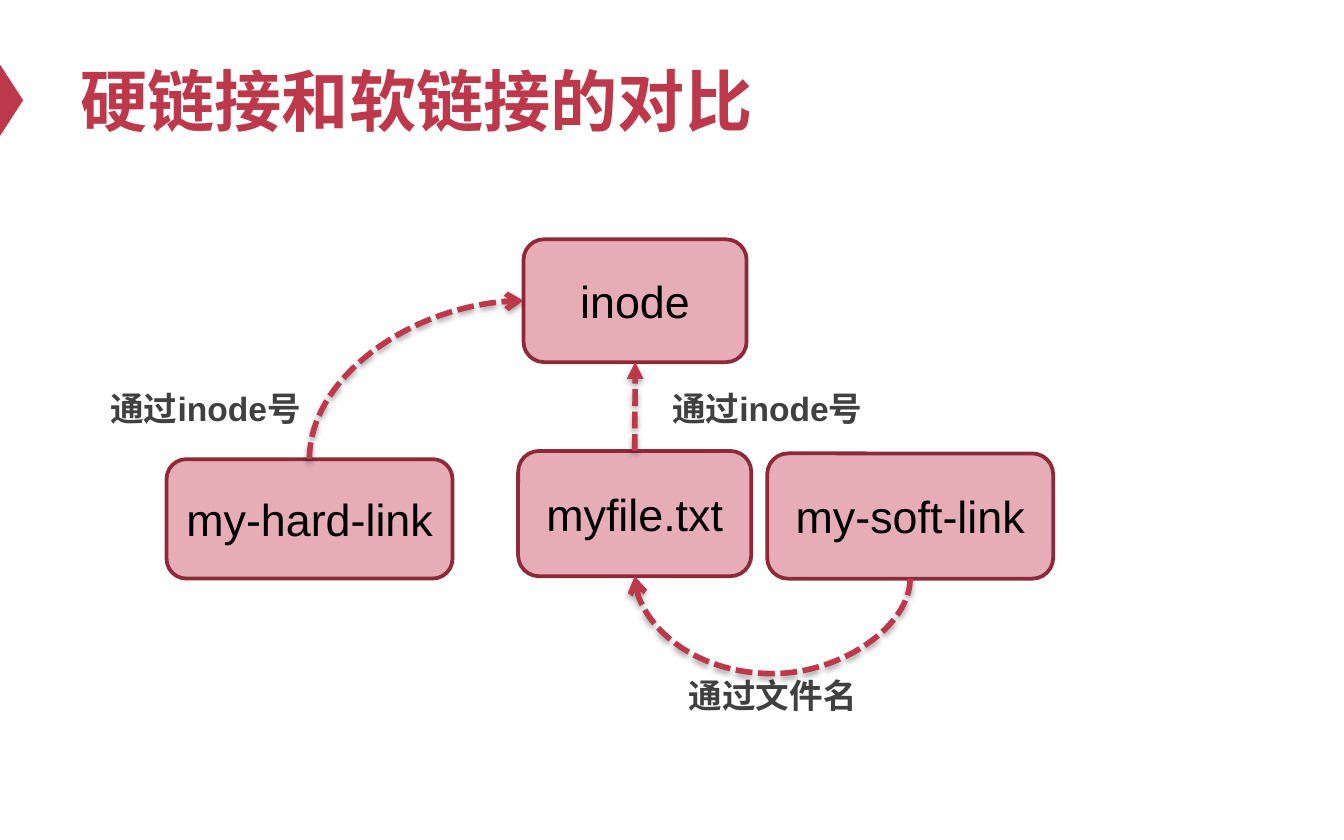
from dataclasses import dataclass

from lxml.etree import SubElement
from pptx import Presentation
from pptx.dml.color import RGBColor
from pptx.enum.dml import MSO_LINE
from pptx.enum.shapes import MSO_CONNECTOR, MSO_SHAPE
from pptx.enum.text import MSO_ANCHOR, PP_ALIGN
from pptx.oxml import parse_xml
from pptx.oxml.ns import nsdecls, qn
from pptx.shapes.autoshape import Shape
from pptx.util import Pt

FONT = "Arial"
COLORS = {
    "accent": "BE384B",
    "fill": "E7ADB6",
    "border": "8E2A38",
    "node": "000000",
    "label": "404040",
}
SHADOW = (
    f'<a:effectLst {nsdecls("a")}><a:outerShdw blurRad="{Pt(3.15)}" '
    f'dist="{Pt(1.8)}" dir="5400000" rotWithShape="0">'
    '<a:srgbClr val="000000"><a:alpha val="35000"/></a:srgbClr>'
    "</a:outerShdw></a:effectLst>"
)


@dataclass
class Node:
    text: str
    left: float
    top: float
    width: float
    height: float

    @property
    def upper(self) -> tuple[float, float]:
        return self.left + self.width / 2, self.top

    @property
    def lower(self) -> tuple[float, float]:
        return self.left + self.width / 2, self.top + self.height

    @property
    def side(self) -> tuple[float, float]:
        return self.left, self.top + self.height / 2


@dataclass
class Label:
    text: str
    left: float
    top: float
    width: float = 181.4
    height: float = 29.1
    size: float = 18
    color: str = "label"
    align: PP_ALIGN = PP_ALIGN.CENTER
    anchor: MSO_ANCHOR = MSO_ANCHOR.TOP


@dataclass
class Arrow:
    start: tuple[float, float]
    end: tuple[float, float]
    head: str
    preset: str = "curvedConnector3"
    bend: float | None = None  # height at which the curve turns


def rgb(name: str) -> RGBColor:
    return RGBColor.from_string(COLORS[name])


def write(shape: Shape, text: str, size: float, color: str, bold: bool,
          align: PP_ALIGN, anchor: MSO_ANCHOR) -> None:
    frame = shape.text_frame
    frame.word_wrap = True
    frame.vertical_anchor = anchor
    para = frame.paragraphs[0]
    para.alignment = align
    run = para.add_run()
    run.text = text
    font = run.font
    font.name, font.size, font.bold = FONT, Pt(size), bold
    font.color.rgb = rgb(color)
    SubElement(run._r.get_or_add_rPr(), qn("a:ea"), typeface=FONT)


def draw_label(slide, label: Label) -> None:
    box = slide.shapes.add_textbox(
        Pt(label.left), Pt(label.top), Pt(label.width), Pt(label.height))
    write(box, label.text, label.size, label.color, True,
          label.align, label.anchor)


def draw_node(slide, node: Node) -> None:
    box = slide.shapes.add_shape(
        MSO_SHAPE.ROUNDED_RECTANGLE,
        Pt(node.left), Pt(node.top), Pt(node.width), Pt(node.height))
    box.shadow.inherit = False
    box.fill.solid()
    box.fill.fore_color.rgb = rgb("fill")
    box.line.color.rgb = rgb("border")
    box.line.width = Pt(2)
    write(box, node.text, 24, "node", False,
          PP_ALIGN.CENTER, MSO_ANCHOR.MIDDLE)


def draw_arrow(slide, arrow: Arrow) -> None:
    """Lay the curve out sideways, then turn it 90° so it leaves vertically."""
    (x1, y1), (x2, y2) = arrow.start, arrow.end
    mid_x, mid_y = (x1 + x2) / 2, (y1 + y2) / 2
    half_w, half_h = (y1 - y2) / 2, (x2 - x1) / 2
    line = slide.shapes.add_connector(
        MSO_CONNECTOR.CURVE,
        Pt(mid_x + half_w), Pt(mid_y + half_h),
        Pt(mid_x - half_w), Pt(mid_y - half_h))
    line.line.color.rgb = rgb("accent")
    line.line.width = Pt(3)
    line.line.dash_style = MSO_LINE.SQUARE_DOT
    props = line._element.spPr
    props.find(qn("a:xfrm")).set("rot", "5400000")
    geom = props.find(qn("a:prstGeom"))
    geom.set("prst", arrow.preset)
    if arrow.bend is not None:
        ratio = round((arrow.bend - y1) / (y2 - y1) * 100000)
        SubElement(geom.find(qn("a:avLst")), qn("a:gd"),
                   name="adj1", fmla=f"val {ratio}")
    SubElement(props.find(qn("a:ln")), qn("a:tailEnd"), type=arrow.head)
    props.append(parse_xml(SHADOW))


def draw_mark(slide) -> None:
    mark = slide.shapes.add_shape(
        MSO_SHAPE.ISOSCELES_TRIANGLE, Pt(-12.9), Pt(47.5), Pt(38.2), Pt(12.4))
    mark.rotation = 90
    mark.shadow.inherit = False
    mark.fill.solid()
    mark.fill.fore_color.rgb = rgb("accent")
    mark.line.fill.background()


def main() -> None:
    deck = Presentation()
    deck.slide_width, deck.slide_height = Pt(720), Pt(450)
    slide = deck.slides.add_slide(deck.slide_layouts[6])

    inode = Node("inode", 280.5, 128.2, 119.5, 65.8)
    hard = Node("my-hard-link", 89.2, 246, 153.2, 64)
    file = Node("myfile.txt", 277.6, 241.6, 124.9, 67.1)
    soft = Node("my-soft-link", 411, 242.9, 153.2, 67.1)

    draw_mark(slide)
    for label in (
        Label("硬链接和软链接的对比", 36, 18, 648, 70.6, 36, "accent",
              PP_ALIGN.LEFT, MSO_ANCHOR.MIDDLE),
        Label("通过文件名", 323.3, 357.8),
        Label("通过inode号", 19.4, 204.5),
        Label("通过inode号", 320.4, 204.5),
    ):
        draw_label(slide, label)
    for node in (inode, hard, file, soft):
        draw_node(slide, node)
    for arrow in (
        Arrow(hard.upper, inode.side, "arrow", "curvedConnector2"),
        Arrow(file.upper, inode.lower, "triangle"),
        Arrow(soft.lower, file.lower, "arrow", bend=360.7),
    ):
        draw_arrow(slide, arrow)

    deck.save("out.pptx")


if __name__ == "__main__":
    main()
